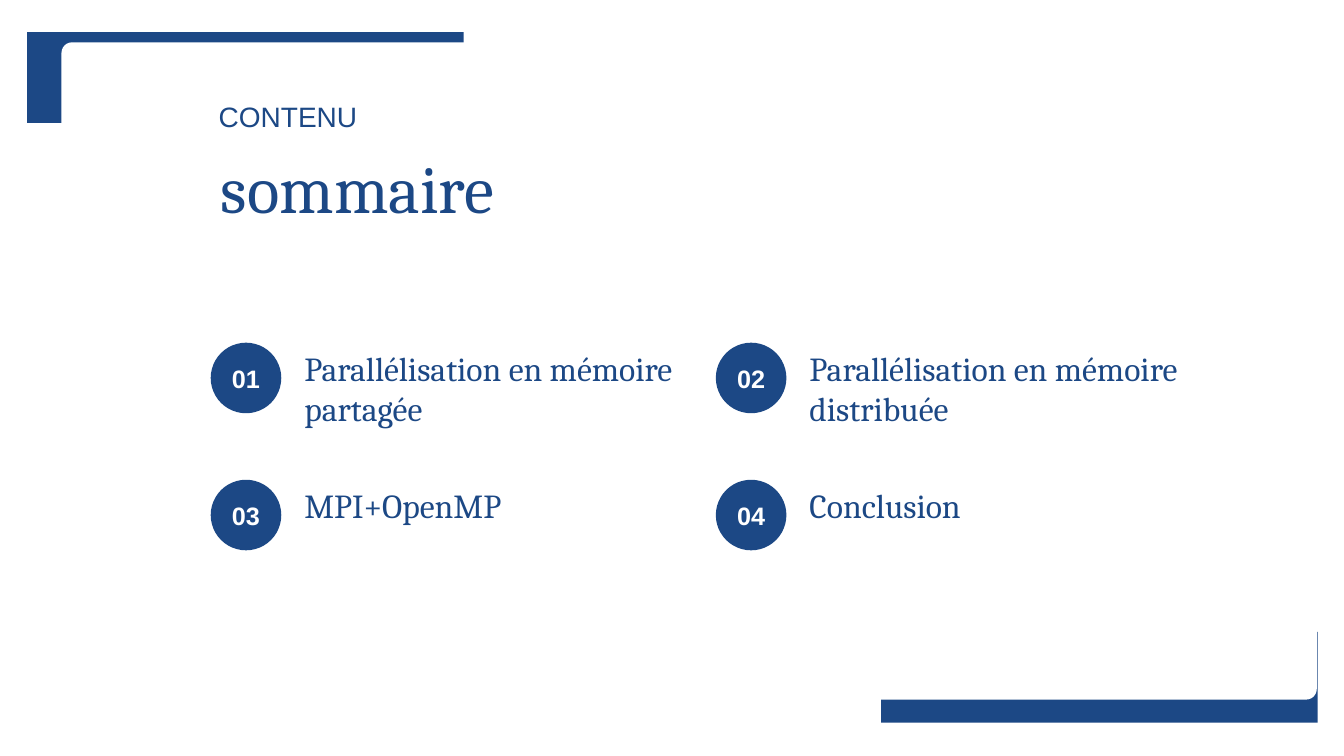
import pptx
import pptx.util
import pptx.dml.color
import pptx.enum.shapes
import pptx.enum.text
from dataclasses import dataclass

Inches = pptx.util.Inches
SHAPE = pptx.enum.shapes.MSO_SHAPE
ALIGN = pptx.enum.text.PP_ALIGN
ANCHOR = pptx.enum.text.MSO_ANCHOR


@dataclass(frozen=True)
class Theme:
    blue: str = "1C4885"
    white: str = "FFFFFF"
    serif: str = "Cambria"
    sans: str = "Arial"
    title_size: int = 48
    entry_size: int = 24
    label_size: int = 20
    number_size: int = 18


theme = Theme()


def write(shape, text, *, size, font, color=theme.blue, bold=False,
          align=ALIGN.LEFT, anchor=ANCHOR.TOP):
    frame = shape.text_frame
    frame.word_wrap = True
    frame.auto_size = pptx.enum.text.MSO_AUTO_SIZE.NONE
    frame.vertical_anchor = anchor
    paragraph = frame.paragraphs[0]
    paragraph.text = text
    paragraph.alignment = align
    paragraph.font.size = pptx.util.Pt(size)
    paragraph.font.name = font
    paragraph.font.bold = bold
    paragraph.font.color.rgb = pptx.dml.color.RGBColor.from_string(color)


def add_filled(kind, left, top, width, height, color):
    shape = slide.shapes.add_shape(kind, Inches(left), Inches(top),
                                   Inches(width), Inches(height))
    shape.shadow.inherit = False
    shape.fill.solid()
    shape.fill.fore_color.rgb = pptx.dml.color.RGBColor.from_string(color)
    shape.line.fill.background()
    return shape


presentation = pptx.Presentation()
presentation.slide_width = Inches(13.33)
presentation.slide_height = Inches(7.5)
slide = presentation.slides.add_slide(
    presentation.slide_layouts.get_by_name("Title Only"))

# Corner blocks, mostly covered by the white panel
for left, top in [(8.74, 6.27), (0.27, 0.32)]:
    add_filled(SHAPE.RECTANGLE, left, top, 4.33, 0.9, theme.blue)
panel = add_filled(SHAPE.ROUNDED_RECTANGLE, 0.61, 0.42, 12.45, 6.52, theme.white)
panel.adjustments[0] = 0.016

# Title, brought in front of the panel
title = slide.shapes.title
panel.element.addnext(title.element)
title.left, title.top = Inches(2.09), Inches(1.4)
title.width, title.height = Inches(3.28), Inches(0.91)
write(title, "sommaire", size=theme.title_size, font=theme.serif)

# Label above the title
label = slide.shapes.add_textbox(Inches(2.07), Inches(0.94),
                                 Inches(2.54), Inches(0.43))
write(label, "CONTENU", size=theme.label_size, font=theme.sans,
      align=ALIGN.JUSTIFY)

# Contents in a grid of two columns
grid_left, grid_top = 2.09, 3.4
column_step, row_step = 5.01, 1.36
circle_size, entry_offset = 0.7, 0.83
entries = [
    "Parallélisation en mémoire partagée",
    "Parallélisation en mémoire distribuée",
    "MPI+OpenMP",
    "Conclusion",
]
entry_heights = [0.91, 0.5]
for index, entry in enumerate(entries):
    row, column = divmod(index, 2)
    left = grid_left + column * column_step
    top = grid_top + row * row_step
    circle = add_filled(SHAPE.OVAL, left, top, circle_size, circle_size, theme.blue)
    write(circle, f"{index + 1:02}", size=theme.number_size, font=theme.sans,
          color=theme.white, bold=True, align=ALIGN.CENTER, anchor=ANCHOR.MIDDLE)
    text_box = slide.shapes.add_textbox(
        Inches(left + entry_offset), Inches(top),
        Inches(4.05), Inches(entry_heights[row]))
    write(text_box, entry, size=theme.entry_size, font=theme.serif)

presentation.save("out.pptx")
